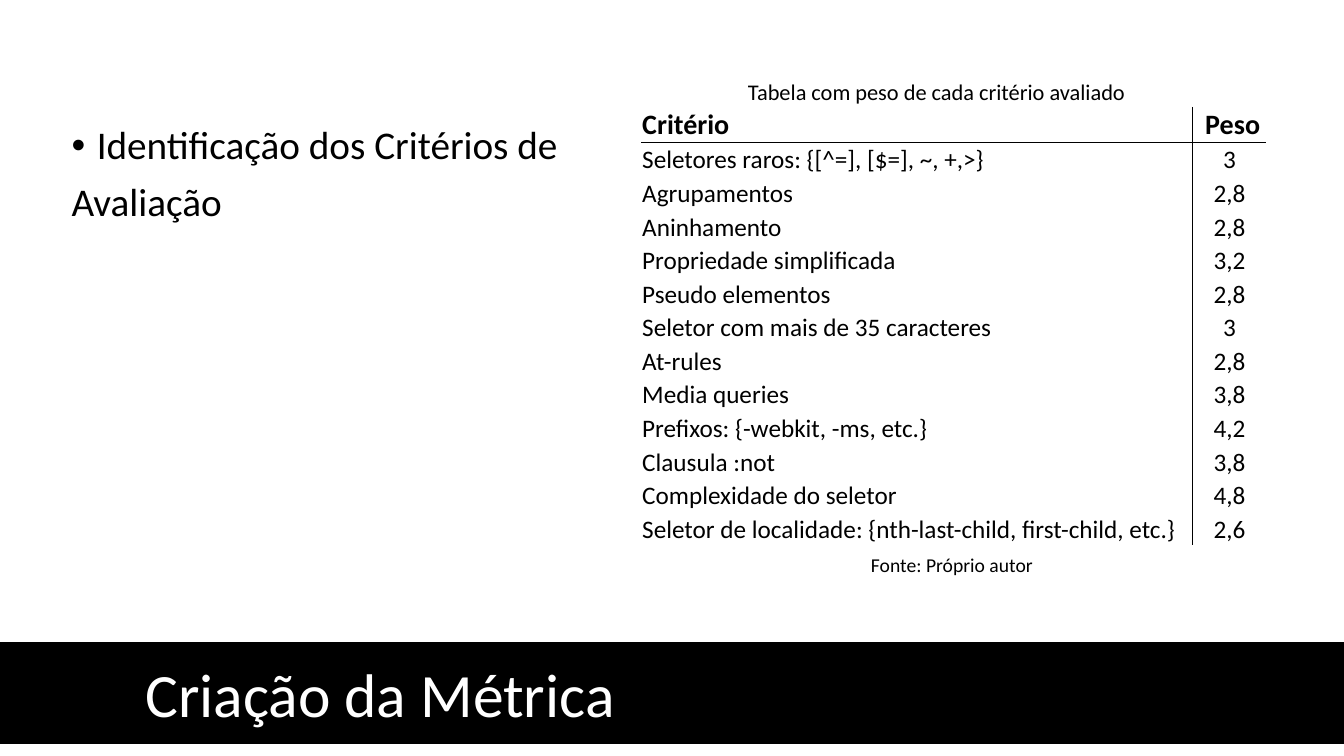
from dataclasses import dataclass

from lxml.etree import SubElement as Sub
from pptx import Presentation
from pptx.dml.color import RGBColor
from pptx.enum.text import MSO_ANCHOR as Anchor
from pptx.enum.text import MSO_AUTO_SIZE as Auto
from pptx.enum.text import PP_ALIGN as Align
from pptx.oxml.ns import qn
from pptx.util import Inches, Pt

BLACK = RGBColor(0, 0, 0)
WHITE = RGBColor(255, 255, 255)
FONT = "Calibri"


@dataclass
class Row:
    name: str
    weight: str


@dataclass
class Note:
    text: str
    left: float
    top: float
    width: float
    height: float
    size: int


ROWS = [
    Row("Critério", " Peso"),
    Row("Seletores raros: {[^=], [$=], ~, +,>}", "3"),
    Row("Agrupamentos", "2,8"),
    Row("Aninhamento", "2,8"),
    Row("Propriedade simplificada", "3,2"),
    Row("Pseudo elementos", "2,8"),
    Row("Seletor com mais de 35 caracteres", "3"),
    Row("At-rules", "2,8"),
    Row("Media queries", "3,8"),
    Row("Prefixos: {-webkit, -ms, etc.}", "4,2"),
    Row("Clausula :not", "3,8"),
    Row("Complexidade do seletor", "4,8"),
    Row("Seletor de localidade: {nth-last-child, first-child, etc.}", "2,6"),
]
NOTES = [
    Note("Tabela com peso de cada critério avaliado", 7.32, 0.73, 3.99, 0.37, 16),
    Note("Fonte: Próprio autor", 8.54, 5.44, 1.82, 0.34, 14),
]


def place(shape, left: float, top: float, width: float, height: float) -> None:
    shape.left, shape.top = Inches(left), Inches(top)
    shape.width, shape.height = Inches(width), Inches(height)


def write(para, text: str, size: int, color: RGBColor = BLACK, bold: bool = False) -> None:
    run = para.add_run()
    run.text = text
    run.font.name = FONT
    run.font.size = Pt(size)
    run.font.bold = bold
    run.font.color.rgb = color


def rule(cell, sides: str) -> None:
    props = cell._tc.get_or_add_tcPr()
    for side in "LRTB":
        line = Sub(props, qn(f"a:ln{side}"), w=str(Pt(1)))
        if side in sides:
            fill = Sub(line, qn("a:solidFill"))
            Sub(fill, qn("a:srgbClr"), val=str(BLACK))
        else:
            Sub(line, qn("a:noFill"))


def add_title(slide) -> None:
    title = slide.shapes.title
    place(title, 0, 6.38, 13.33, 0.99)
    title.fill.solid()
    title.fill.fore_color.rgb = BLACK
    title.line.color.rgb = BLACK
    title.line.width = Pt(1)
    frame = title.text_frame
    frame.auto_size = Auto.NONE
    frame.vertical_anchor = Anchor.MIDDLE
    frame.margin_left = Inches(1.44)
    para = frame.paragraphs[0]
    para.alignment = Align.LEFT
    write(para, "Criação da Métrica", 44, WHITE)


def add_body(slide) -> None:
    body = slide.placeholders[1]
    place(body, 0.61, 1.2, 11.5, 4.76)
    frame = body.text_frame
    frame.auto_size = Auto.NONE
    first, last = frame.paragraphs[0], frame.add_paragraph()
    for para, text, indent in (
        (first, "Identificação dos Critérios de", 0.25),
        (last, "Avaliação", 0),
    ):
        para.line_spacing = 0.9
        para.space_before = Pt(10)
        props = para._p.get_or_add_pPr()
        props.set("marL", str(Inches(indent)))
        props.set("indent", str(Inches(-indent)))
        if indent:
            Sub(props, qn("a:buFont"), typeface="Arial")
            Sub(props, qn("a:buChar"), char="•")
        else:
            Sub(props, qn("a:buNone"))
        write(para, text, 28)


def add_grid(slide) -> None:
    grid = slide.shapes.add_table(
        len(ROWS), 2, Inches(6.36), Inches(1.06), Inches(6.2), Inches(4.33)
    ).table
    grid.first_row = grid.horz_banding = False
    grid.columns[0].width = Inches(5.47)
    grid.columns[1].width = Inches(0.73)
    for i, row in enumerate(ROWS):
        head = i == 0
        edge = "B" if head else "T" if i == 1 else ""
        for j, text in enumerate((row.name, row.weight)):
            cell = grid.cell(i, j)
            rule(cell, "RL"[j] + edge)
            cell.fill.solid()
            cell.fill.fore_color.rgb = WHITE
            cell.vertical_anchor = Anchor.BOTTOM
            cell.margin_left = cell.margin_right = cell.margin_top = Inches(0.01)
            cell.margin_bottom = 0
            para = cell.text_frame.paragraphs[0]
            para.alignment = Align.CENTER if j else Align.LEFT
            write(para, text, 20 if head else 18, bold=head)


def add_note(slide, note: Note) -> None:
    box = slide.shapes.add_textbox(0, 0, 0, 0)
    place(box, note.left, note.top, note.width, note.height)
    frame = box.text_frame
    frame.word_wrap = False
    frame.auto_size = Auto.SHAPE_TO_FIT_TEXT
    write(frame.paragraphs[0], note.text, note.size)


def main() -> None:
    deck = Presentation()
    deck.slide_width, deck.slide_height = Inches(13.33), Inches(7.5)
    slide = deck.slides.add_slide(deck.slide_layouts[1])
    add_title(slide)
    add_body(slide)
    add_grid(slide)
    for note in NOTES:
        add_note(slide, note)
    deck.save("out.pptx")


if __name__ == "__main__":
    main()
